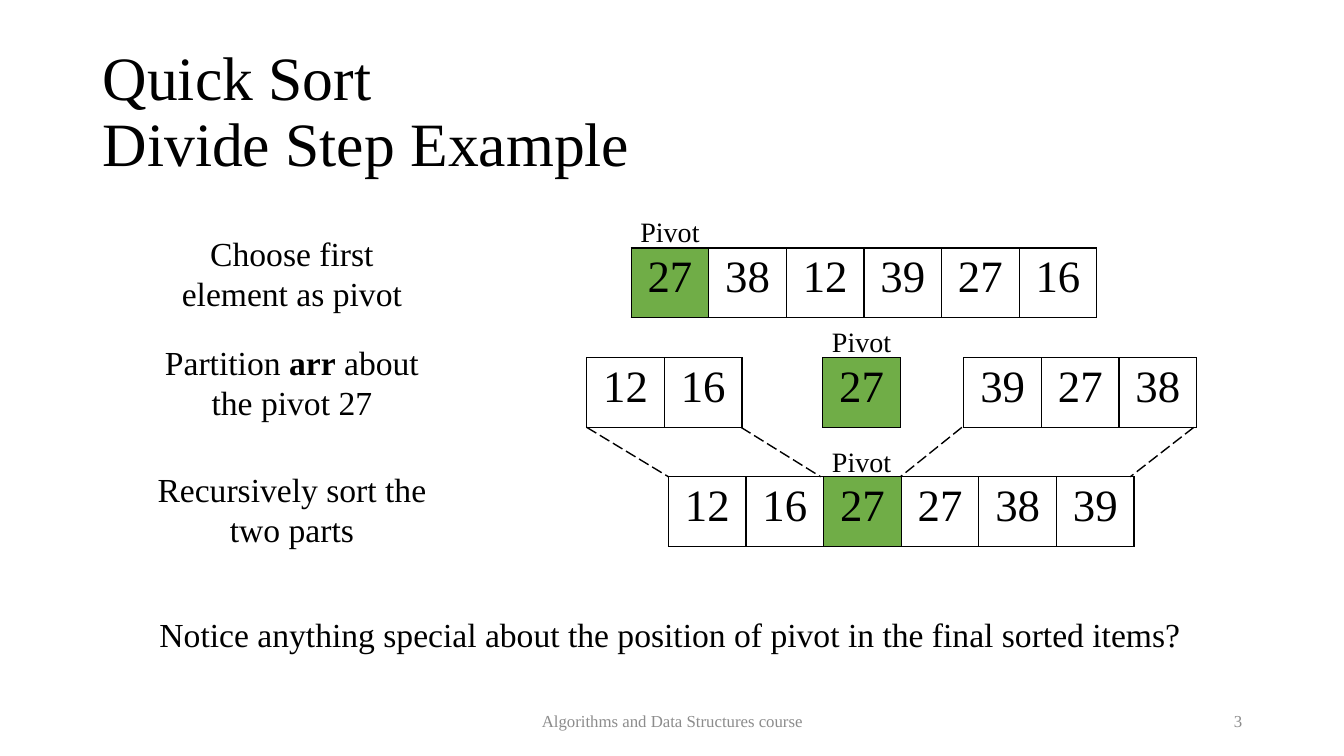
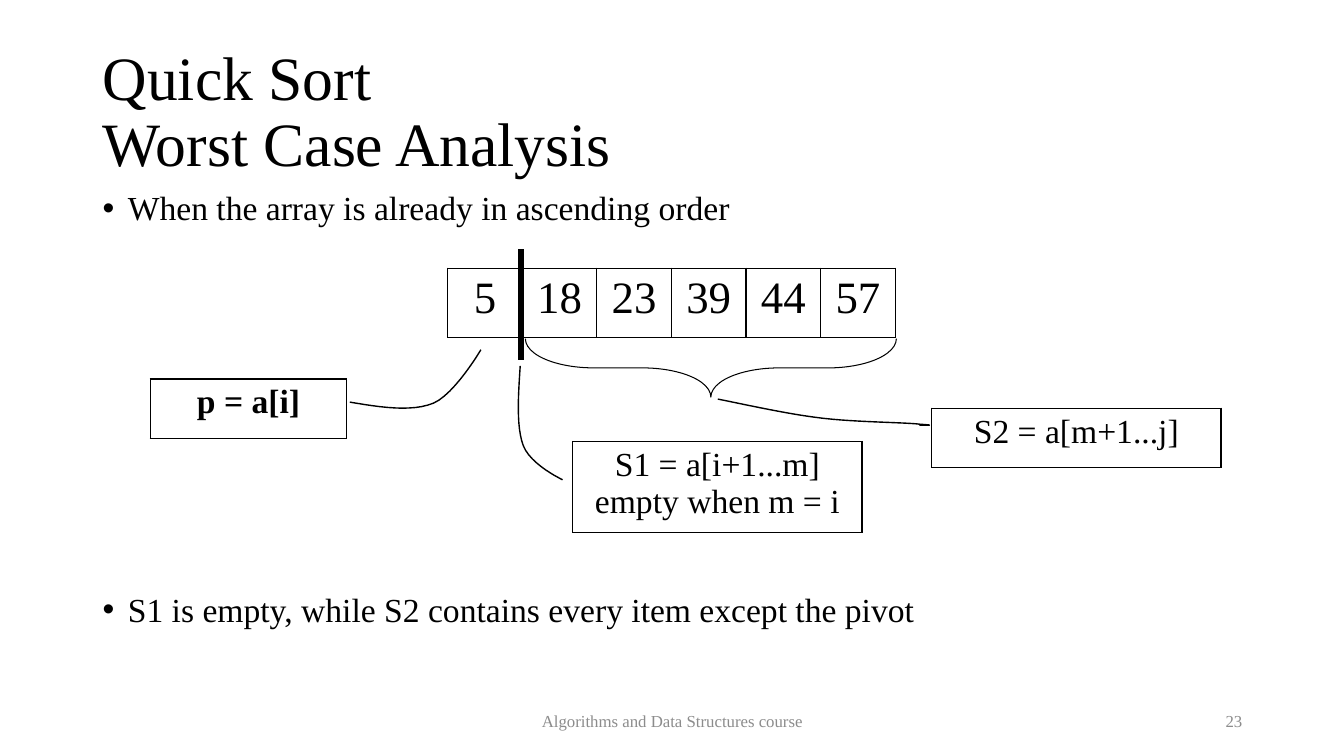
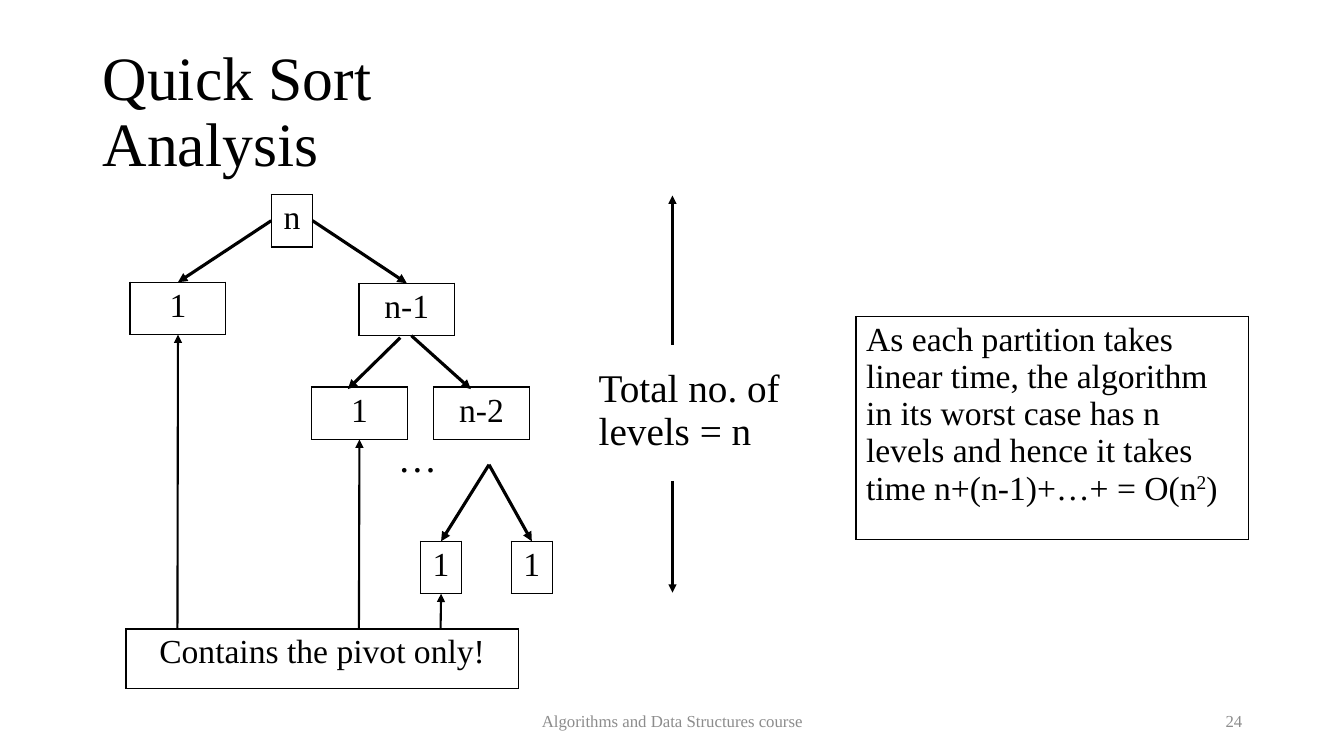
from dataclasses import dataclass

from pptx import Presentation
from pptx.dml.color import RGBColor
from pptx.enum.dml import MSO_LINE
from pptx.enum.shapes import MSO_CONNECTOR, MSO_SHAPE
from pptx.enum.text import MSO_ANCHOR, PP_ALIGN
from pptx.oxml import parse_xml
from pptx.oxml.ns import nsdecls
from pptx.util import Inches, Pt

LEFT, CENTER, RIGHT = PP_ALIGN.LEFT, PP_ALIGN.CENTER, PP_ALIGN.RIGHT
TOP, MIDDLE = MSO_ANCHOR.TOP, MSO_ANCHOR.MIDDLE
STRAIGHT = MSO_CONNECTOR.STRAIGHT
RIGHT_BRACE = MSO_SHAPE.RIGHT_BRACE
LONG_DASH = MSO_LINE.LONG_DASH

# Connection sites of a box
SITE_TOP, SITE_LEFT, SITE_BOTTOM, SITE_RIGHT = range(4)


@dataclass(frozen=True)
class Theme:
    font: str = "Times New Roman"
    ink: str = "000000"
    muted: str = "8C8C8C"
    pivot: str = "70AD47"
    title: int = 44
    item: int = 32
    large: int = 28
    body: int = 24
    label: int = 20
    footer: int = 12
    tight: float = 0.9


class Deck:
    """Holds the theme and the current slide; one method per kind of element."""

    def __init__(self, theme):
        self.t = theme
        self.prs = Presentation()
        self.prs.slide_width = Inches(13.33)
        self.prs.slide_height = Inches(7.5)
        self.s = None

    def slide(self, title, number):
        self.s = self.prs.slides.add_slide(self.prs.slide_layouts[6])
        t = self.t
        self.text(0.92, 0.4, 11.5, 1.45, ["Quick Sort", title], t.title,
                  align=LEFT, anchor=MIDDLE, spacing=t.tight)
        self.text(4.42, 6.95, 4.5, 0.4, ["Algorithms and Data Structures course"],
                  t.footer, anchor=MIDDLE, color=t.muted)
        self.text(9.42, 6.95, 3, 0.4, [str(number)], t.footer,
                  align=RIGHT, anchor=MIDDLE, color=t.muted)

    def runs(self, p, parts, size, color=None):
        """Parts is a string or a list of (text, style); style is '', 'bold' or 'super'."""
        if isinstance(parts, str):
            parts = [(parts, "")]
        for text, style in parts:
            r = p.add_run()
            r.text = text
            r.font.name = self.t.font
            r.font.size = Pt(size)
            r.font.bold = style == "bold"
            r.font.color.rgb = RGBColor.from_string(color or self.t.ink)
            if style == "super":
                r._r.get_or_add_rPr().set("baseline", "30000")

    def text(self, x, y, w, h, paragraphs, size, align=CENTER, anchor=TOP,
             color=None, spacing=None, bullets=False, gap=0):
        box = self.s.shapes.add_textbox(Inches(x), Inches(y), Inches(w), Inches(h))
        tf = box.text_frame
        tf.word_wrap = True
        tf.vertical_anchor = anchor
        for i, parts in enumerate(paragraphs):
            p = tf.add_paragraph() if i else tf.paragraphs[0]
            if bullets:
                pPr = p._p.get_or_add_pPr()
                pPr.set("marL", str(Inches(0.25)))
                pPr.set("indent", str(-Inches(0.25)))
                pPr.append(parse_xml(f'<a:buFont {nsdecls("a")} typeface="Arial"/>'))
                pPr.append(parse_xml(f'<a:buChar {nsdecls("a")} char="•"/>'))
            p.alignment = align
            if spacing:
                p.line_spacing = spacing
            if i and gap:
                p.space_before = Pt(gap)
            self.runs(p, parts, size, color)

    def table(self, x, y, w, h, cells, size, align=CENTER, pivot=None):
        """One-row table; the cell with index pivot is filled."""
        frame = self.s.shapes.add_table(1, len(cells), Inches(x), Inches(y),
                                        Inches(w), Inches(h))
        table = frame.table
        table.first_row = table.horz_banding = False
        for i, parts in enumerate(cells):
            table.columns[i].width = Inches(w / len(cells))
            cell = table.cell(0, i)
            if i == pivot:
                cell.fill.solid()
                cell.fill.fore_color.rgb = RGBColor.from_string(self.t.pivot)
            else:
                cell.fill.background()
            tcPr = cell._tc.get_or_add_tcPr()
            for k, side in enumerate("LRTB"):
                tcPr.insert(k, parse_xml(
                    f'<a:ln{side} {nsdecls("a")} w="12700"><a:solidFill>'
                    f'<a:srgbClr val="{self.t.ink}"/></a:solidFill></a:ln{side}>'))
            p = cell.text_frame.paragraphs[0]
            p.alignment = align
            self.runs(p, parts, size)
        return frame

    def array(self, x, y, values, pivot=None, cell_w=0.77):
        self.table(x, y, cell_w * len(values), 0.69, [str(v) for v in values],
                   self.t.item, pivot=pivot)

    def box(self, x, y, w, h, parts, align=CENTER):
        return self.table(x, y, w, h, [parts], self.t.body, align)

    def stroke(self, shape, width):
        shape.line.color.rgb = RGBColor.from_string(self.t.ink)
        shape.line.width = Pt(width)

    def line(self, start, end, width, dash=None, arrow=False):
        """Each end is a point (x, y) or a joined box (frame, site)."""
        joined = [not isinstance(e[0], (int, float)) for e in (start, end)]
        points = [(0, 0) if j else e for j, e in zip(joined, (start, end))]
        c = self.s.shapes.add_connector(
            STRAIGHT, *[Inches(v) for point in points for v in point])
        if joined[0]:
            c.begin_connect(*start)
        if joined[1]:
            c.end_connect(*end)
        self.stroke(c, width)
        if dash:
            c.line.dash_style = dash
        if arrow:
            c.line._get_or_add_ln().append(
                parse_xml(f'<a:tailEnd {nsdecls("a")} type="triangle"/>'))
        c._element.spPr.append(parse_xml(f'<a:effectLst {nsdecls("a")}/>'))

    def curve(self, start, *segments, steps=12):
        """Open line through cubic segments (two control points and an end)."""
        points, p0 = [], start
        for p1, p2, p3 in segments:
            for k in range(1, steps + 1):
                u = k / steps
                v = 1 - u
                points.append([
                    Inches(v**3 * a + 3 * v * v * u * b + 3 * v * u * u * c + u**3 * d)
                    for a, b, c, d in zip(p0, p1, p2, p3)])
            p0 = p3
        builder = self.s.shapes.build_freeform(Inches(start[0]), Inches(start[1]))
        builder.add_line_segments(points, close=False)
        sp = builder.convert_to_shape()
        sp.shadow.inherit = False
        sp.fill.background()
        self.stroke(sp, 1)

    def brace(self, x, y, w, h):
        sp = self.s.shapes.add_shape(RIGHT_BRACE, Inches(x), Inches(y),
                                     Inches(w), Inches(h))
        sp.rotation = 90
        sp.adjustments[0] = 1.17
        sp.adjustments[1] = 0.5
        sp.shadow.inherit = False
        sp.fill.background()
        self.stroke(sp, 0.75)


def divide_slide(d):
    t = d.t
    d.slide("Divide Step Example", 3)

    # Steps and closing question
    steps = [(2.26, "Choose first element as pivot"),
             (3.34, [("Partition ", ""), ("arr", "bold"), (" about the pivot 27", "")]),
             (4.6, "Recursively sort the two parts")]
    for y, step in steps:
        d.text(1.44, y, 2.91, 0.91, [step], t.body)
    d.text(1.44, 6.04, 10.41, 0.5,
           ["Notice anything special about the position of pivot in the final sorted items?"],
           t.body)

    # Arrays before, during and after partitioning
    d.array(6.26, 2.46, [27, 38, 12, 39, 27, 16], pivot=0)
    d.array(5.82, 3.55, [12, 16])
    d.array(8.16, 3.55, [27], pivot=0)
    d.array(9.56, 3.55, [39, 27, 38])
    d.array(6.63, 4.73, [12, 16, 27, 27, 38, 39], pivot=2)
    for x, y in [(6.17, 2.08), (8.07, 3.17), (8.07, 4.36)]:
        d.text(x, y, 0.95, 0.44, ["Pivot"], t.label)

    # Where each part lands
    for x1, x2 in [(5.82, 6.63), (7.35, 8.14), (9.54, 8.93), (11.84, 11.21)]:
        d.line((x1, 4.24), (x2, 4.73), 1, dash=LONG_DASH)


def worst_case_slide(d):
    t = d.t
    d.slide("Worst Case Analysis", 23)
    d.text(0.92, 1.85, 11.5, 5.06,
           ["When the array is already in ascending order",
            "S1 is empty, while S2 contains every item except the pivot"],
           t.body, align=LEFT, spacing=t.tight, bullets=True, gap=261)

    # Sorted array, split after the pivot
    d.array(4.44, 2.66, [5, 18, 23, 39, 44, 57], cell_w=0.74)
    d.line((5.17, 3.57), (5.17, 2.47), 4)
    d.brace(6.76, 1.81, 0.58, 3.68)

    # Names of the parts
    d.box(1.49, 3.76, 1.95, 0.59, [("p = a[i]", "bold")])
    d.box(5.68, 4.38, 2.87, 0.85, "S1 = a[i+1...m] empty when m = i")
    d.box(9.24, 4.05, 2.87, 0.59, "S2 = a[m+1...j]")

    # Curves from the parts to their names
    d.curve((3.47, 3.99), ((3.77, 4.04), (4.08, 4.09), (4.3, 4)),
            ((4.51, 3.91), (4.77, 3.47), (4.77, 3.47)))
    d.curve((7.12, 3.96), ((7.47, 4.03), (7.82, 4.11), (8.16, 4.15)),
            ((8.5, 4.19), (8.97, 4.19), (9.13, 4.21)),
            ((9.29, 4.22), (9.2, 4.22), (9.12, 4.22)))
    d.curve((5.16, 3.63), ((5.14, 3.93), (5.12, 4.23), (5.19, 4.42)),
            ((5.26, 4.61), (5.58, 4.76), (5.58, 4.76)))


def analysis_slide(d):
    t = d.t
    d.slide("Analysis", 24)

    # Recursion tree
    wide, narrow, high = 0.95, 0.41, 0.52
    root = d.box(2.69, 1.93, narrow, high, "n")
    pivot_1 = d.box(1.29, 2.8, wide, high, "1")
    rest_1 = d.box(3.56, 2.81, wide, high, "n-1")
    pivot_2 = d.box(3.09, 3.84, wide, high, "1")
    d.box(4.3, 3.84, wide, high, "n-2")
    pivot_last = d.box(4.17, 5.37, narrow, high, "1")
    rest_last = d.box(5.07, 5.37, narrow, high, "1")
    d.text(3.21, 4.3, 1.86, 1.03, ["…"], t.large, spacing=t.tight)

    branches = [((root, SITE_LEFT), (pivot_1, SITE_TOP)),
                ((root, SITE_RIGHT), (rest_1, SITE_TOP)),
                ((3.97, 3.35), (3.45, 3.86)),
                ((4.08, 3.33), (4.67, 3.86)),
                ((4.85, 4.61), (pivot_last, SITE_TOP)),
                ((4.85, 4.61), (rest_last, SITE_TOP))]
    for start, end in branches:
        d.line(start, end, 2.25, arrow=True)

    # Note on the pivot boxes
    d.box(1.25, 6.24, 3.89, 0.59, "Contains the pivot only!")
    for x, node in [(1.76, pivot_1), (3.56, pivot_2), (4.37, pivot_last)]:
        d.line((x, 6.24), (node, SITE_BOTTOM), 1.5, arrow=True)

    # Number of levels
    d.text(5.84, 3.61, 2.17, 1.26, ["Total no. of levels = n"], t.large,
           align=LEFT, spacing=t.tight)
    d.line((6.67, 3.42), (6.67, 1.94), 1.5, arrow=True)
    d.line((6.67, 4.77), (6.67, 5.88), 1.5, arrow=True)

    # Conclusion
    d.box(8.49, 3.14, 3.89, 2.21,
          [("As each partition takes linear time, the algorithm in its worst case "
            "has n levels and hence it takes time n+(n-1)+…+ = O(n", ""),
           ("2", "super"), (")", "")], align=LEFT)


def main():
    d = Deck(Theme())
    for build in (divide_slide, worst_case_slide, analysis_slide):
        build(d)
    d.prs.save("out.pptx")


if __name__ == "__main__":
    main()
